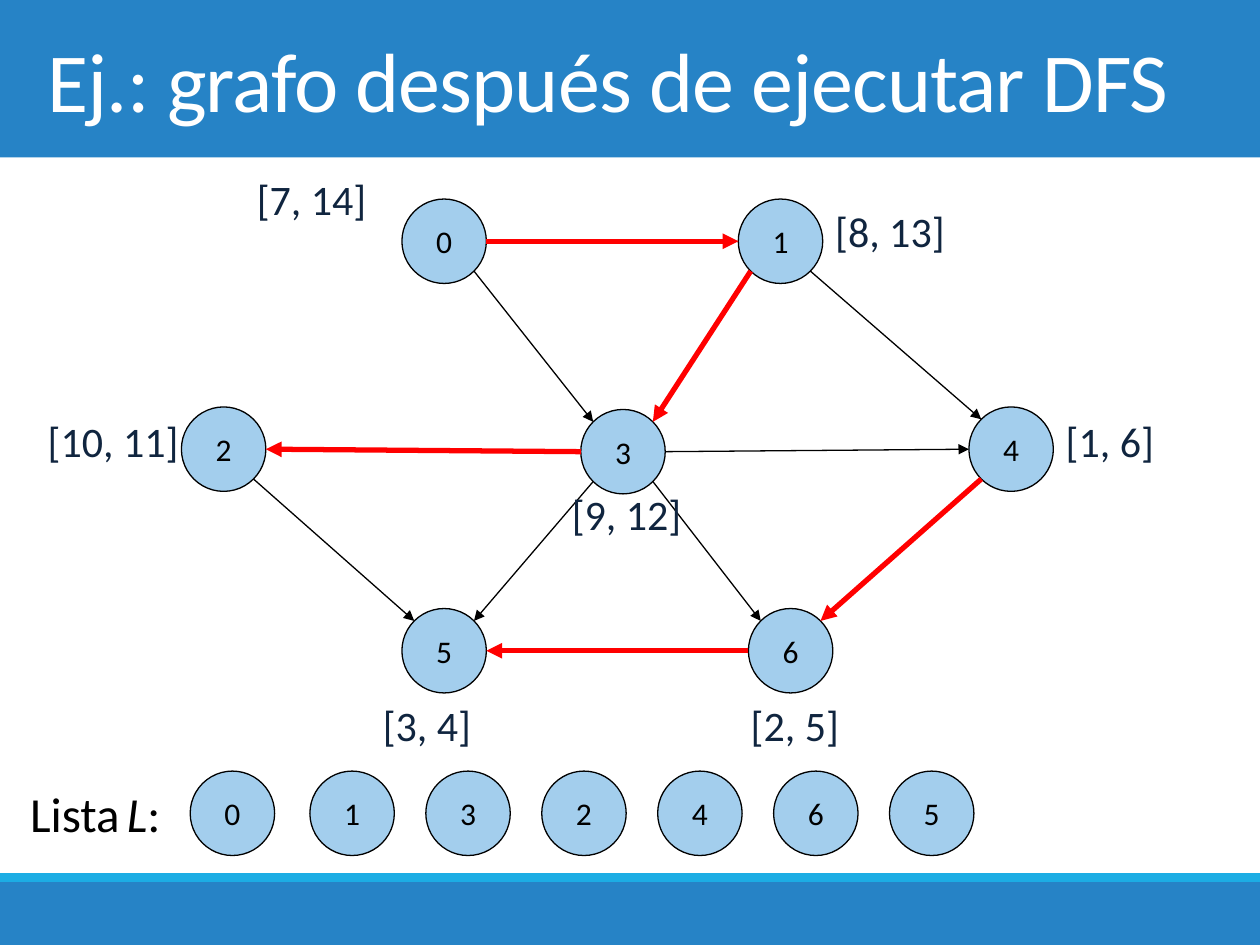
from math import cos, radians, sin

from lxml.etree import SubElement
from pptx import Presentation
from pptx.dml.color import RGBColor
from pptx.enum.shapes import MSO_CONNECTOR as Connector, MSO_SHAPE as Preset
from pptx.enum.text import MSO_ANCHOR as Anchor, MSO_AUTO_SIZE as AutoSize, PP_ALIGN as Align
from pptx.oxml.ns import qn
from pptx.util import Inches, Pt

BLUE = RGBColor(0x26, 0x83, 0xC6)
CYAN = RGBColor(0x1C, 0xAD, 0xE4)
NODE_FILL = RGBColor(0xA3, 0xCE, 0xED)
NAVY = RGBColor(0x10, 0x25, 0x3F)
RED = RGBColor(0xFF, 0x00, 0x00)
BLACK = RGBColor(0x00, 0x00, 0x00)
WHITE = RGBColor(0xFF, 0xFF, 0xFF)

DIAMETER = 0.67
EAST, SOUTHEAST, SOUTHWEST, WEST, NORTHWEST, NORTHEAST = 0, 45, 135, 180, 225, 315


class GraphSlide:
    """Holds the style and the slide being drawn."""

    font_name = "Calibri"

    def __init__(self, slide):
        self.slide = slide

    def add_run(self, paragraph, text, size, color, italic=None, spacing=None):
        run = paragraph.add_run()
        run.text = text
        run.font.name = self.font_name
        run.font.size = Pt(size)
        run.font.color.rgb = color
        run.font.italic = italic
        if spacing is not None:
            run.font._element.set("spc", str(round(spacing * 100)))

    def bar(self, top, height, color):
        shape = self.slide.shapes.add_shape(
            Preset.RECTANGLE, 0, Inches(top), Inches(10), Inches(height))
        shape.shadow.inherit = False
        shape.fill.solid()
        shape.fill.fore_color.rgb = color
        shape.line.fill.background()

    def text(self, left, top, width, height, wrap=False, fit=True, anchor=Anchor.TOP):
        box = self.slide.shapes.add_textbox(
            Inches(left), Inches(top), Inches(width), Inches(height))
        frame = box.text_frame
        frame.word_wrap = wrap
        frame.auto_size = AutoSize.SHAPE_TO_FIT_TEXT if fit else AutoSize.NONE
        frame.vertical_anchor = anchor
        return frame.paragraphs[0]

    def node(self, label, left, top):
        shape = self.slide.shapes.add_shape(
            Preset.OVAL, Inches(left), Inches(top), Inches(DIAMETER), Inches(DIAMETER))
        shape.shadow.inherit = False
        shape.fill.solid()
        shape.fill.fore_color.rgb = NODE_FILL
        shape.line.color.rgb = BLACK
        shape.line.width = Pt(0.75)
        frame = shape.text_frame
        frame.word_wrap = False
        frame.vertical_anchor = Anchor.MIDDLE
        paragraph = frame.paragraphs[0]
        paragraph.alignment = Align.CENTER
        self.add_run(paragraph, label, 18, BLACK)

    def edge(self, start, end, color, width):
        points = [Inches(value) for value in (*start, *end)]
        line = self.slide.shapes.add_connector(Connector.STRAIGHT, *points)
        line.line.color.rgb = color
        line.line.width = Pt(width)
        SubElement(line.line._get_or_add_ln(), qn("a:tailEnd"), type="triangle")
        SubElement(line._element.spPr, qn("a:effectLst"))


def rim_point(corner, angle):
    """Point on a node's circle, with the angle clockwise from east."""
    radius = DIAMETER / 2
    left, top = corner
    return (left + radius + radius * cos(radians(angle)),
            top + radius + radius * sin(radians(angle)))


NODES = {
    "0": (3.19, 1.58), "1": (5.86, 1.58),
    "2": (1.44, 3.23), "3": (4.61, 3.25), "4": (7.69, 3.23),
    "5": (3.19, 4.83), "6": (5.94, 4.83),
}
# Source, its side, target, its side, in the search tree
EDGES = [
    ("0", EAST, "1", WEST, True),
    ("0", SOUTHEAST, "3", NORTHWEST, False),
    ("1", SOUTHWEST, "3", NORTHEAST, True),
    ("3", WEST, "2", EAST, True),
    ("3", EAST, "4", WEST, False),
    ("3", SOUTHWEST, "5", NORTHEAST, False),
    ("3", SOUTHEAST, "6", NORTHWEST, False),
    ("1", SOUTHEAST, "4", NORTHWEST, False),
    ("2", SOUTHEAST, "5", NORTHWEST, False),
    ("4", SOUTHWEST, "6", NORTHEAST, True),
    ("6", WEST, "5", EAST, True),
]
# Discovery and finish times: text, left, top, width
TIMES = [
    ("[1, 6]", 8.36, 3.25, 0.91), ("[2, 5]", 5.86, 5.5, 0.91),
    ("[3, 4]", 2.94, 5.5, 0.91), ("[7, 14]", 1.94, 1.33, 1.08),
    ("[8, 13]", 6.53, 1.58, 1.08), ("[10, 11]", 0.28, 3.25, 1.25),
    ("[9, 12]", 4.44, 3.83, 1.08),
]


def main():
    presentation = Presentation()
    presentation.slide_width = Inches(10)
    presentation.slide_height = Inches(7.5)
    graph = GraphSlide(presentation.slides.add_slide(presentation.slide_layouts[6]))

    # Header and footer bands
    graph.bar(0, 1.25, BLUE)
    graph.bar(7, 0.5, BLUE)
    graph.bar(6.93, 0.07, CYAN)

    # Title
    title = graph.text(0.28, 0, 9.45, 1.25, wrap=True, fit=False, anchor=Anchor.MIDDLE)
    graph.add_run(title, "Ej.: grafo después de ejecutar DFS", 48, WHITE, spacing=-0.5)

    # Graph
    for label, corner in NODES.items():
        graph.node(label, *corner)
    for source, exit_side, target, entry_side, in_tree in EDGES:
        color, width = (RED, 3) if in_tree else (BLACK, 0.75)
        graph.edge(rim_point(NODES[source], exit_side),
                   rim_point(NODES[target], entry_side), color, width)
    for times, left, top, width in TIMES:
        graph.add_run(graph.text(left, top, width, 0.5), times, 24, NAVY)

    # Resulting list: the first node stands slightly apart
    graph.node("0", 1.51, 6.12)
    for index, label in enumerate("132465"):
        graph.node(label, 2.46 + 0.92 * index, 6.12)
    caption = graph.text(0.14, 6.17, 1.53, 0.57, wrap=True)
    graph.add_run(caption, "Lista", 28, BLACK)
    graph.add_run(caption, " ", 18, BLACK)
    graph.add_run(caption, "L", 28, BLACK, italic=True)
    graph.add_run(caption, ":", 28, BLACK)

    presentation.save("out.pptx")


if __name__ == "__main__":
    main()
